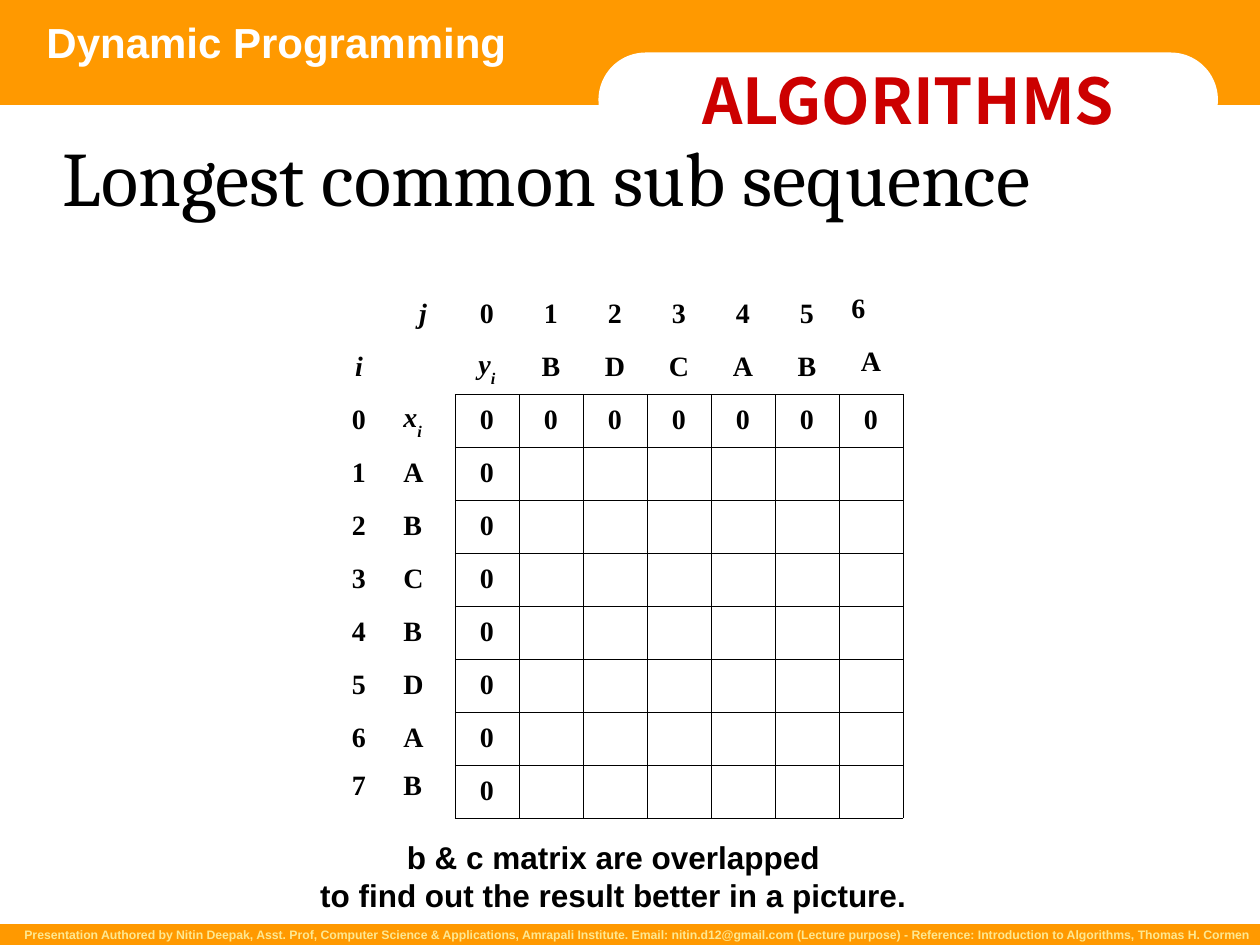
"""Build the longest common subsequence slide with its empty matrix."""
import pptx
import pptx.dml.color
import pptx.enum.shapes
import pptx.enum.text
import pptx.oxml
import pptx.oxml.ns
import pptx.util

Pt = pptx.util.Pt
RGB = pptx.dml.color.RGBColor.from_string
ALIGN = pptx.enum.text.PP_ALIGN
ANCHOR = pptx.enum.text.MSO_ANCHOR
SHAPE = pptx.enum.shapes.MSO_SHAPE

THEME = {
    "band": "FF9900", "paper": "FFFFFF", "ink": "000000", "brand": "CC0000", "credit": "FDE891",
    "sans": "Arial", "serif": "Times New Roman", "title_font": "Cambria", "brand_font": "Noto Sans CJK KR",
    "title_pt": 44, "brand_pt": 36, "topic_pt": 24, "note_pt": 18, "cell_pt": 16, "credit_pt": 7,
    "rule_pt": 0.06,
}


def write(tf, text, font="sans", size="note_pt", color="ink", bold=True, italic=False,
          align=ALIGN.CENTER, anchor=ANCHOR.TOP, wrap=True, spacing=None):
    """Fill a text frame; an underscore starts a subscript."""
    tf.word_wrap = wrap
    tf.vertical_anchor = anchor
    for i, line in enumerate(text.split("\n")):
        p = tf.paragraphs[0] if i == 0 else tf.add_paragraph()
        p.alignment = align
        p.line_spacing = spacing
        for level, part in enumerate(line.split("_")):
            r = p.add_run()
            r.text = part
            r.font.name = THEME[font]
            r.font.size = Pt(THEME[size])
            r.font.color.rgb = RGB(THEME[color])
            r.font.bold = bold
            r.font.italic = italic
            if level:
                r.font._element.set("baseline", "-33000")


def set_borders(cell, sides):
    """Rule the given sides of a cell and clear the others."""
    tcPr = cell._tc.get_or_add_tcPr()
    for side in "LRTB":
        fill = f'<a:solidFill><a:srgbClr val="{THEME["ink"]}"/></a:solidFill>' if side in sides else "<a:noFill/>"
        tcPr.append(pptx.oxml.parse_xml(
            f'<a:ln{side} {pptx.oxml.ns.nsdecls("a")} w="{Pt(THEME["rule_pt"])}">{fill}</a:ln{side}>'))


prs = pptx.Presentation()
prs.slide_width, prs.slide_height = Pt(720), Pt(540)
s = prs.slides.add_slide(prs.slide_layouts[5])

bands = {}
for name, kind, box, color in [
    ("header", SHAPE.RECTANGLE, (0, 0, 720, 60), "band"),
    ("tab", SHAPE.ROUNDED_RECTANGLE, (342, 30, 354, 54), "paper"),
    ("footer", SHAPE.RECTANGLE, (0, 528, 720, 12), "band"),
]:
    sp = s.shapes.add_shape(kind, *map(Pt, box))
    sp.shadow.inherit = False
    sp.fill.solid()
    sp.fill.fore_color.rgb = RGB(THEME[color])
    sp.line.fill.background()
    bands[name] = sp
bands["tab"].adjustments[0] = 0.5
write(bands["tab"].text_frame, "ALGORITHMS", font="brand_font", size="brand_pt", color="brand",
      anchor=ANCHOR.MIDDLE, wrap=False)

for text, box, fmt in [
    ("Presentation Authored by Nitin Deepak, Asst. Prof, Computer Science & Applications, Amrapali Institute. "
     "Email: nitin.d12@gmail.com (Lecture purpose) - Reference: Introduction to Algorithms, Thomas H. Cormen",
     (5.4, 526.5, 715.7, 15.8), dict(size="credit_pt", color="credit", align=ALIGN.RIGHT, wrap=False)),
    ("Dynamic Programming", (10.4, 6, 295, 47.5), dict(size="topic_pt", color="paper")),
    ("b & c matrix are overlapped\nto find out the result better in a picture.",
     (172.5, 475.2, 356, 50.4), dict(wrap=False)),
]:
    write(s.shapes.add_textbox(*map(Pt, box)).text_frame, text, **fmt)

title = s.shapes.title
title.left, title.top, title.width, title.height = map(Pt, (35.8, 74.2, 647.3, 52.6))
tf = title.text_frame
tf.margin_left = tf.margin_right = tf.margin_top = tf.margin_bottom = 0
tf.auto_size = pptx.enum.text.MSO_AUTO_SIZE.NONE
write(tf, "Longest common sub sequence", font="title_font", size="title_pt", bold=False,
      align=ALIGN.JUSTIFY, anchor=ANCHOR.MIDDLE)
s.shapes._spTree.append(title._element)

X, Y = "ABCBDAB", "BDCABA"
rows = [
    ["", "j", *map(str, range(len(Y) + 1))],
    ["i", "", "y_i", *Y],
    ["0", "x_i", *"0" * (len(Y) + 1)],
    *([str(i), x, "0"] + [""] * len(Y) for i, x in enumerate(X, 1)),
]
n_rows, n_cols = len(rows), len(rows[0])
col_w, row_h = 36.58, 30.3
table = s.shapes.add_table(n_rows, n_cols, Pt(186.8), Pt(164.8),
                           Pt(col_w * n_cols), Pt(row_h * n_rows)).table
table.first_row = table.horz_banding = False
for col in table.columns:
    col.width = Pt(col_w)
for row in table.rows:
    row.height = Pt(row_h)

for i, row in enumerate(rows):
    for j, text in enumerate(row):
        cell = table.cell(i, j)
        in_rows, in_cols = i >= 2, j >= 2
        edges = {"L": in_rows and in_cols, "R": in_rows and j >= 1,
                 "T": in_rows and in_cols, "B": i >= 1 and in_cols}
        set_borders(cell, [side for side, ruled in edges.items() if ruled])
        cell.fill.solid()
        cell.fill.fore_color.rgb = RGB(THEME["paper"])
        at_top = (i < 2 and j == n_cols - 1) or (i == n_rows - 1 and j < 2)
        cell.vertical_anchor = ANCHOR.TOP if at_top else ANCHOR.MIDDLE
        if text:
            at_left = (in_rows and j == 1) or (i == 0 and j == n_cols - 1)
            write(cell.text_frame, text, font="serif", size="cell_pt", italic=text[0].islower(),
                  align=ALIGN.LEFT if at_left else ALIGN.CENTER, anchor=None, spacing=0.95)

prs.save("out.pptx")
